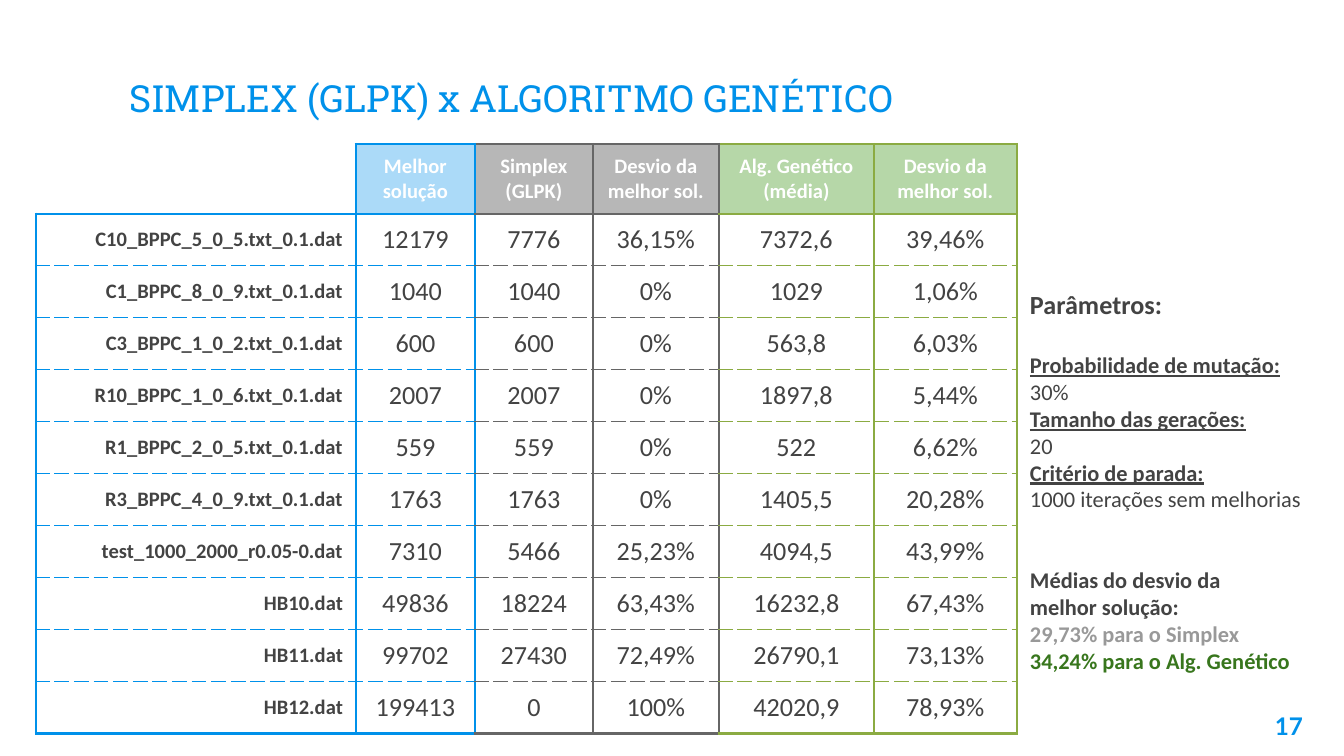
from lxml.etree import SubElement
from pptx import Presentation
from pptx.dml.color import RGBColor
from pptx.enum.text import MSO_ANCHOR, MSO_AUTO_SIZE, PP_ALIGN
from pptx.oxml.ns import qn
from pptx.util import Pt

SCALE = 914400 / 134.4
BLUE = RGBColor(0x00, 0x91, 0xEA)
GRAY = RGBColor(0x66, 0x66, 0x66)
GREEN = RGBColor(0x8B, 0xAB, 0x42)
SILVER = RGBColor(0xB7, 0xB7, 0xB7)
MINT = RGBColor(0xB6, 0xD7, 0xA8)
WHITE = RGBColor(0xFF, 0xFF, 0xFF)
INK = RGBColor(0x43, 0x43, 0x43)
ASH = RGBColor(0x99, 0x99, 0x99)
LEAF = RGBColor(0x38, 0x76, 0x1D)

WIDTHS = [320, 119, 118, 126, 155, 143]
HEAD_H, ROW_H = 70, 52
EDGES = [BLUE, BLUE, GRAY, GRAY, GREEN, GREEN]
FILLS = [None, BLUE, SILVER, SILVER, MINT, MINT]
HEADS = ["", "Melhor solução", "Simplex (GLPK)", "Desvio da\nmelhor sol.",
         "Alg. Genético (média)", "Desvio da melhor sol."]
ROWS = [
    ["C10_BPPC_5_0_5.txt_0.1.dat", "12179", "7776", "36,15%", "7372,6", "39,46%"],
    ["C1_BPPC_8_0_9.txt_0.1.dat", "1040", "1040", "0%", "1029", "1,06%"],
    ["C3_BPPC_1_0_2.txt_0.1.dat", "600", "600", "0%", "563,8", "6,03%"],
    ["R10_BPPC_1_0_6.txt_0.1.dat", "2007", "2007", "0%", "1897,8", "5,44%"],
    ["R1_BPPC_2_0_5.txt_0.1.dat", "559", "559", "0%", "522", "6,62%"],
    ["R3_BPPC_4_0_9.txt_0.1.dat", "1763", "1763", "0%", "1405,5", "20,28%"],
    ["test_1000_2000_r0.05-0.dat", "7310", "5466", "25,23%", "4094,5", "43,99%"],
    ["HB10.dat", "49836", "18224", "63,43%", "16232,8", "67,43%"],
    ["HB11.dat", "99702", "27430", "72,49%", "26790,1", "73,13%"],
    ["HB12.dat", "199413", "0", "100%", "42020,9", "78,93%"],
]
NOTES = [
    ("Parâmetros:", "", 14, INK, 0),
    ("Probabilidade de mutação:", " 30%", 12, INK, 17),
    ("Tamanho das gerações:", "", 12, INK, 0),
    ("", "20", 12, INK, 0),
    ("Critério de parada:", "", 12, INK, 0),
    ("", "1000 iterações sem melhorias", 12, INK, 0),
    ("Médias do desvio da", "", 12, INK, 29),
    ("melhor solução:", "", 12, INK, 0),
    ("29,73% para o Simplex", "", 12, ASH, 0),
    ("34,24% para o Alg. Genético", "", 12, LEAF, 0),
]
LINED = {"Probabilidade de mutação:", "Tamanho das gerações:", "Critério de parada:"}


def px(num):
    """Turn px into EMU."""
    return round(num * SCALE)


def style(run, face, size, color, bold=False):
    """Format one run."""
    font = run.font
    font.name, font.size, font.bold = face, Pt(size), bold
    font.color.rgb = color


def pad(frame):
    """Give a text frame wrapping and even insets."""
    frame.word_wrap = True
    frame.auto_size = MSO_AUTO_SIZE.NONE
    frame.margin_left = frame.margin_right = px(13)
    frame.margin_top = frame.margin_bottom = px(13)


def edge(cell, side, color, dash=False):
    """Draw one border of a cell, or clear it when color is None."""
    line = SubElement(cell._tc.get_or_add_tcPr(), qn("a:ln" + side),
                      w=str(Pt(0.75 if dash else 1.5)))
    if color is None:
        SubElement(line, qn("a:noFill"))
        return
    fill = SubElement(line, qn("a:solidFill"))
    SubElement(fill, qn("a:srgbClr"), val=str(color))
    SubElement(line, qn("a:prstDash"), val="dash" if dash else "solid")


def paint(cell, color, alpha=None):
    """Fill a cell, with an optional alpha in percent."""
    if color is None:
        cell.fill.background()
        return
    cell.fill.solid()
    cell.fill.fore_color.rgb = color
    if alpha:
        tone = cell._tc.tcPr.find(qn("a:solidFill"))[0]
        SubElement(tone, qn("a:alpha"), val=str(alpha * 1000))


def border(cell, row, col):
    """Draw the four borders that suit a cell's place in the grid."""
    own, blank = EDGES[col], row == col == 0
    edge(cell, "L", None if blank else EDGES[max(col - 1, 0)])
    edge(cell, "R", own)
    edge(cell, "T", None if blank else own, row > 1)
    edge(cell, "B", own, 0 < row < len(ROWS))


def write(cell, text, row, col):
    """Set and format a cell's text."""
    cell.vertical_anchor = MSO_ANCHOR.MIDDLE
    cell.margin_left = cell.margin_right = px(13)
    cell.margin_top = cell.margin_bottom = px(9)
    cell.text_frame.text = text
    bold = row == 0 or col == 0
    for para in cell.text_frame.paragraphs:
        para.alignment = PP_ALIGN.RIGHT if row and col == 0 else PP_ALIGN.CENTER
        for run in para.runs:
            style(run, "Calibri", 11 if bold else 14, INK if row else WHITE, bold)


def add_grid(slide, left, top):
    """Place the table of results."""
    data = [HEADS] + ROWS
    high = HEAD_H + ROW_H * len(ROWS)
    table = slide.shapes.add_table(len(data), len(WIDTHS), px(left), px(top),
                                   px(sum(WIDTHS)), px(high)).table
    table.first_row = table.horz_banding = False
    for col, width in enumerate(WIDTHS):
        table.columns[col].width = px(width)
    for row, texts in enumerate(data):
        table.rows[row].height = px(ROW_H if row else HEAD_H)
        for col, text in enumerate(texts):
            cell = table.cell(row, col)
            write(cell, text, row, col)
            border(cell, row, col)
            tint = row == 0 and col == 1
            paint(cell, WHITE if row else FILLS[col], 33 if tint else None)


def add_title(slide, left, top, width, height):
    """Place the title."""
    title = slide.shapes.title
    title.left, title.top = px(left), px(top)
    title.width, title.height = px(width), px(height)
    frame = title.text_frame
    frame.text = "SIMPLEX (GLPK) x ALGORITMO GENÉTICO"
    pad(frame)
    frame.vertical_anchor = MSO_ANCHOR.MIDDLE
    para = frame.paragraphs[0]
    para.alignment = PP_ALIGN.LEFT
    style(para.runs[0], "Roboto Slab", 20, BLUE)


def add_notes(slide, left, top, width, height):
    """Place the parameters and the mean deviations."""
    frame = slide.shapes.add_textbox(px(left), px(top), px(width), px(height)).text_frame
    pad(frame)
    for num, (label, value, size, color, gap) in enumerate(NOTES):
        para = frame.add_paragraph() if num else frame.paragraphs[0]
        para.space_before = Pt(gap)
        for text in filter(None, (label, value)):
            run = para.add_run()
            run.text = text
            style(run, "Calibri", size, color, text == label)
            run.font.underline = text in LINED


def add_page(slide, left, top, width, height):
    """Place the page number."""
    frame = slide.shapes.add_textbox(px(left), px(top), px(width), px(height)).text_frame
    pad(frame)
    frame.text = "17"
    para = frame.paragraphs[0]
    para.alignment = PP_ALIGN.RIGHT
    style(para.runs[0], "Lato", 13, BLUE, True)


def main():
    """Build and save the slide."""
    deck = Presentation()
    deck.slide_width, deck.slide_height = px(1344), px(756)
    slide = deck.slides.add_slide(deck.slide_layouts[5])
    add_title(slide, 116, 46, 1113, 103)
    add_page(slide, 1235, 698, 81, 58)
    add_grid(slide, 36, 144)
    add_notes(slide, 1017, 275, 309, 388)
    deck.save("out.pptx")


if __name__ == "__main__":
    main()
